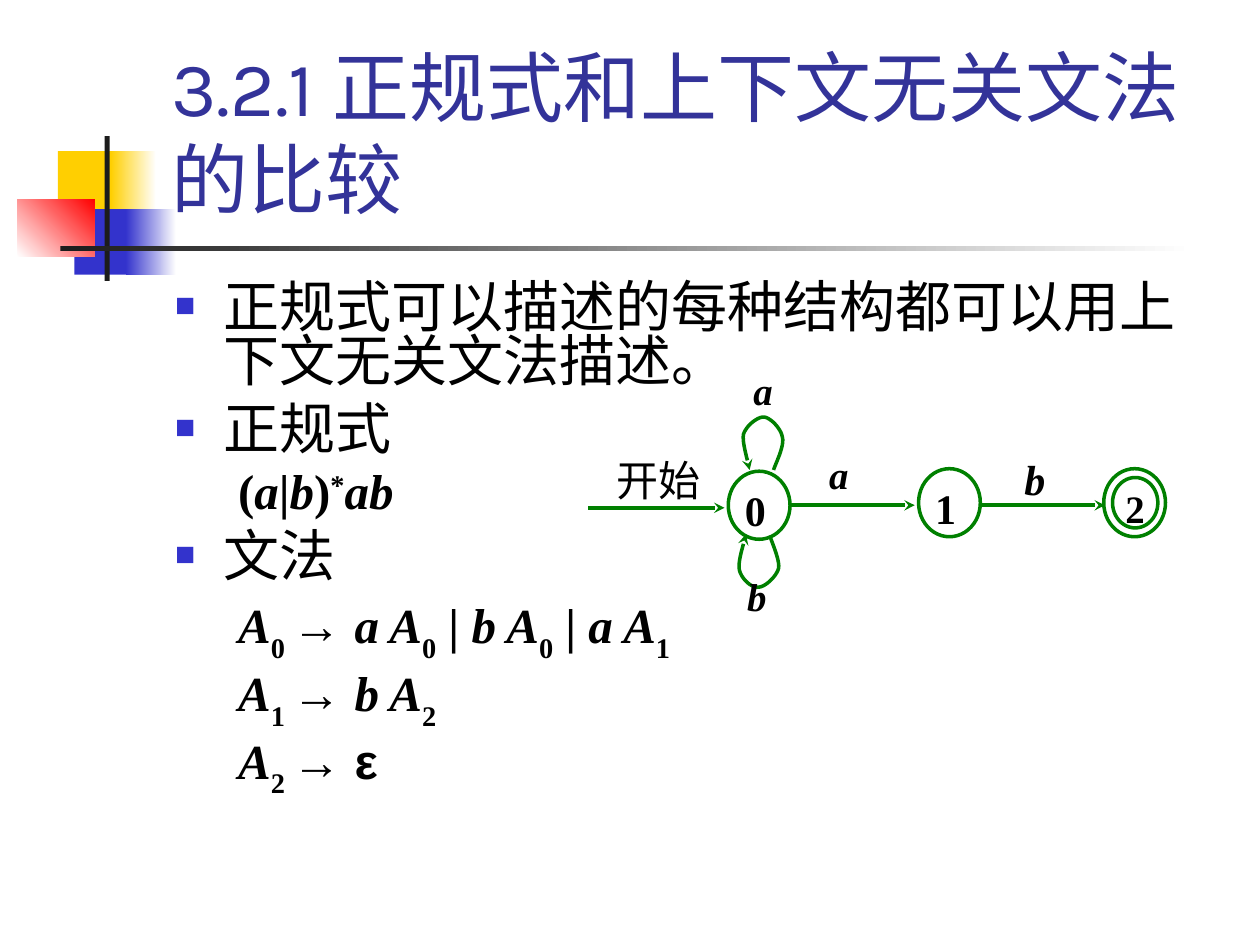
from dataclasses import dataclass
from typing import NamedTuple

from lxml.etree import SubElement as Sub
from pptx import Presentation
from pptx.dml.color import RGBColor
from pptx.enum.shapes import MSO_CONNECTOR as Conn, MSO_SHAPE as Kind
from pptx.enum.text import MSO_ANCHOR as Anchor, MSO_AUTO_SIZE as Fit, PP_ALIGN as Align
from pptx.oxml.ns import qn
from pptx.util import Inches, Pt

SERIF = "Times New Roman"
SANS = "Noto Sans CJK SC"
GREEN = "008000"
BLACK = "000000"
WHITE = "FFFFFF"
BLUE = "3333CC"


class Bit(NamedTuple):
    text: str
    italic: bool = False
    base: int = 0
    face: str = SERIF


class Block(NamedTuple):
    x: float
    y: float
    w: float
    h: float
    start: str
    end: str = ""
    angle: int = 0


@dataclass
class Node:
    x: float
    y: float
    w: float
    h: float
    text: str = ""
    size: float = 24
    pads: tuple = (0.06, 0.03, 0.02, 0.05)


@dataclass
class Label:
    x: float
    y: float
    w: float
    text: str
    size: float = 22.2
    latin: bool = True


class Arrow(NamedTuple):
    x: float
    y: float
    end: float


BLOCKS = [
    Block(0.46, 1.2, 0.48, 0.52, "FFCF01"),
    Block(0.88, 1.2, 0.36, 0.52, "FFCF01", WHITE),
    Block(0.59, 1.66, 0.46, 0.52, BLUE),
    Block(1, 1.66, 0.4, 0.52, BLUE, WHITE),
    Block(0.14, 1.58, 0.61, 0.46, WHITE, "FF0000", 45),
    Block(0.83, 1.08, 0.04, 1.15, "1C1C1C"),
    Block(0.48, 1.95, 9, 0.04, "1C1C1C", WHITE),
]
NODES = [
    Node(5.78, 3.74, 0.49, 0.54, "0"),
    Node(7.29, 3.72, 0.49, 0.54, "1"),
    Node(8.76, 3.72, 0.49, 0.54),
    Node(8.83, 3.79, 0.36, 0.4, "2", 22.2, (0.05, 0, 0.01, 0)),
]
ARROWS = [Arrow(4.67, 4.03, 5.75), Arrow(6.28, 4.01, 7.26), Arrow(7.79, 4.01, 8.77)]
LABELS = [
    Label(4.83, 3.58, 0.79, "开始", 24, False),
    Label(6.52, 3.59, 0.39, "a"),
    Label(5.92, 2.92, 0.39, "a"),
    Label(5.87, 4.56, 0.4, "b"),
    Label(8.07, 3.57, 0.39, "b", 24),
]
LOOPS = [
    [(6.14, 3.73), (6.15, 3.69), (6.23, 3.54), (6.21, 3.47), (6.2, 3.4), (6.11, 3.31),
     (6.06, 3.31), (6.01, 3.31), (5.92, 3.38), (5.9, 3.45), (5.89, 3.52), (5.94, 3.67),
     (5.95, 3.73)],
    [(6.11, 4.25), (6.12, 4.29), (6.19, 4.44), (6.18, 4.51), (6.16, 4.58), (6.07, 4.66),
     (6.02, 4.66), (5.97, 4.67), (5.89, 4.6), (5.87, 4.53), (5.85, 4.46), (5.91, 4.3),
     (5.92, 4.24)],
]
REGEX = [Bit("("), Bit("a", True), Bit("|"), Bit("b", True), Bit(")"),
         Bit("*", base=30), Bit("ab", True)]


def color(code: str) -> RGBColor:
    return RGBColor.from_string(code)


def place(shape, x: float, y: float, w: float, h: float) -> None:
    shape.left, shape.top = Inches(x), Inches(y)
    shape.width, shape.height = Inches(w), Inches(h)


def write(para, bit: Bit, size: float, ink: str = BLACK, bold: bool = False) -> None:
    run = para.add_run()
    run.text = bit.text
    font = run.font
    font.size, font.name, font.bold, font.italic = Pt(size), bit.face, bold, bit.italic
    font.color.rgb = color(ink)
    props = run._r.get_or_add_rPr()
    Sub(props, qn("a:ea"), typeface=SANS if bit.face == SERIF else bit.face)
    if bit.base:
        props.set("baseline", str(bit.base * 1000))


def pad(frame, pads: tuple) -> None:
    frame.word_wrap = True
    frame.vertical_anchor = Anchor.TOP
    (frame.margin_left, frame.margin_top,
     frame.margin_right, frame.margin_bottom) = map(Inches, pads)


def stroke(shape, tail: bool = False) -> None:
    shape.line.color.rgb = color(GREEN)
    shape.line.width = Pt(2)
    if tail:
        Sub(shape.line._get_or_add_ln(), qn("a:tailEnd"), type="stealth")


def draw_block(shapes, block: Block) -> None:
    shape = shapes.add_shape(Kind.RECTANGLE, *map(Inches, block[:4]))
    shape.shadow.inherit = False
    shape.line.fill.background()
    if block.end:
        shape.fill.gradient()
        shape.fill.gradient_angle = block.angle
        for stop, code in zip(shape.fill.gradient_stops, (block.start, block.end)):
            stop.color.rgb = color(code)
    else:
        shape.fill.solid()
        shape.fill.fore_color.rgb = color(block.start)


def draw_node(shapes, node: Node) -> None:
    shape = shapes.add_shape(Kind.OVAL, *map(Inches, (node.x, node.y, node.w, node.h)))
    shape.shadow.inherit = False
    shape.fill.background()
    stroke(shape)
    if node.text:
        pad(shape.text_frame, node.pads)
        para = shape.text_frame.paragraphs[0]
        para.alignment = Align.LEFT
        write(para, Bit(node.text), node.size, bold=True)


def draw_arrow(shapes, arrow: Arrow) -> None:
    x, y, end = map(Inches, arrow)
    line = shapes.add_connector(Conn.STRAIGHT, x, y, end, y)
    stroke(line, True)
    Sub(line._element.spPr, qn("a:effectLst"))


def draw_label(shapes, label: Label) -> None:
    box = shapes.add_textbox(*map(Inches, (label.x, label.y, label.w, 0.45)))
    pad(box.text_frame, (0.06, 0.03, 0, 0.03))
    para = box.text_frame.paragraphs[0]
    if label.size < 24:
        para.line_spacing = 0.9
    write(para, Bit(label.text, label.latin), label.size, bold=label.latin)


def curve(knots: list, steps: int = 12) -> list:
    spots = [knots[0]]
    for i in range(0, len(knots) - 1, 3):
        for k in range(1, steps + 1):
            t = k / steps
            rates = ((1 - t) ** 3, 3 * t * (1 - t) ** 2, 3 * t * t * (1 - t), t ** 3)
            spots.append(tuple(sum(r * p[axis] for r, p in zip(rates, knots[i:i + 4]))
                               for axis in (0, 1)))
    return spots


def draw_loop(shapes, knots: list) -> None:
    first, *rest = [(Inches(x), Inches(y)) for x, y in curve(knots)]
    form = shapes.build_freeform(*first)
    form.add_line_segments(rest, close=False)
    shape = form.convert_to_shape()
    shape.shadow.inherit = False
    shape.fill.background()
    stroke(shape, True)


def rule(left: str, *pairs: str) -> list:
    bits = [Bit("A", True), Bit(left + " ", base=-30), Bit("→ ", face="Arial")]
    for i, pair in enumerate(pairs):
        if i:
            bits.append(Bit(" | "))
        bits += [Bit(pair[:-1], True), Bit(pair[-1], base=-30)]
    return bits


def add_item(frame, bits: list, top: bool, first: bool = False) -> None:
    para = frame.paragraphs[0] if first else frame.add_paragraph()
    para.level = 0 if top else 1
    para.line_spacing = 0.8
    para.space_before = Pt(0 if first else 8 if top else 7)
    props = para._p.get_or_add_pPr()
    left, hang = (0.38, -0.38) if top else (0.81, -0.31)
    props.set("marL", str(Inches(left)))
    props.set("indent", str(Inches(hang)))
    if top:
        Sub(Sub(props, qn("a:buClr")), qn("a:srgbClr"), val=BLUE)
        Sub(props, qn("a:buSzPct"), val="60000")
        Sub(props, qn("a:buChar"), char="■")
    else:
        Sub(props, qn("a:buNone"))
    for bit in bits:
        write(para, bit, 32 if top else 28, bold=not top)


def main() -> None:
    deck = Presentation()
    deck.slide_width, deck.slide_height = Inches(10), Inches(7.5)
    slide = deck.slides.add_slide(deck.slide_layouts[1])
    shapes = slide.shapes
    title, body = shapes.title, slide.placeholders[1]
    place(title, 1.26, 0.23, 8.52, 1.6)
    place(body, 1.29, 2.21, 8.5, 4.5)
    for holder in (title, body):
        holder.text_frame.auto_size = Fit.NONE
    title.text_frame.vertical_anchor = Anchor.BOTTOM
    head = title.text_frame.paragraphs[0]
    head.alignment = Align.LEFT
    write(head, Bit("3.2.1 正规式和上下文无关文法的比较", face="Karla"), 44, "333399")
    items = [
        ([Bit("正规式可以描述的每种结构都可以用上下文无关文法描述。", face=SANS)], True),
        ([Bit("正规式", face=SANS)], True),
        (REGEX, False),
        ([Bit("文法", face="Karla")], True),
        (rule("0", "a A0", "b A0", "a A1"), False),
        (rule("1", "b A2"), False),
        (rule("2")[:2] + [Bit("→ ε", face="Arial")], False),
    ]
    for i, (bits, top) in enumerate(items):
        add_item(body.text_frame, bits, top, i == 0)
    for draw, parts in ((draw_block, BLOCKS), (draw_node, NODES), (draw_arrow, ARROWS),
                        (draw_loop, LOOPS), (draw_label, LABELS)):
        for part in parts:
            draw(shapes, part)
    deck.save("out.pptx")


if __name__ == "__main__":
    main()
